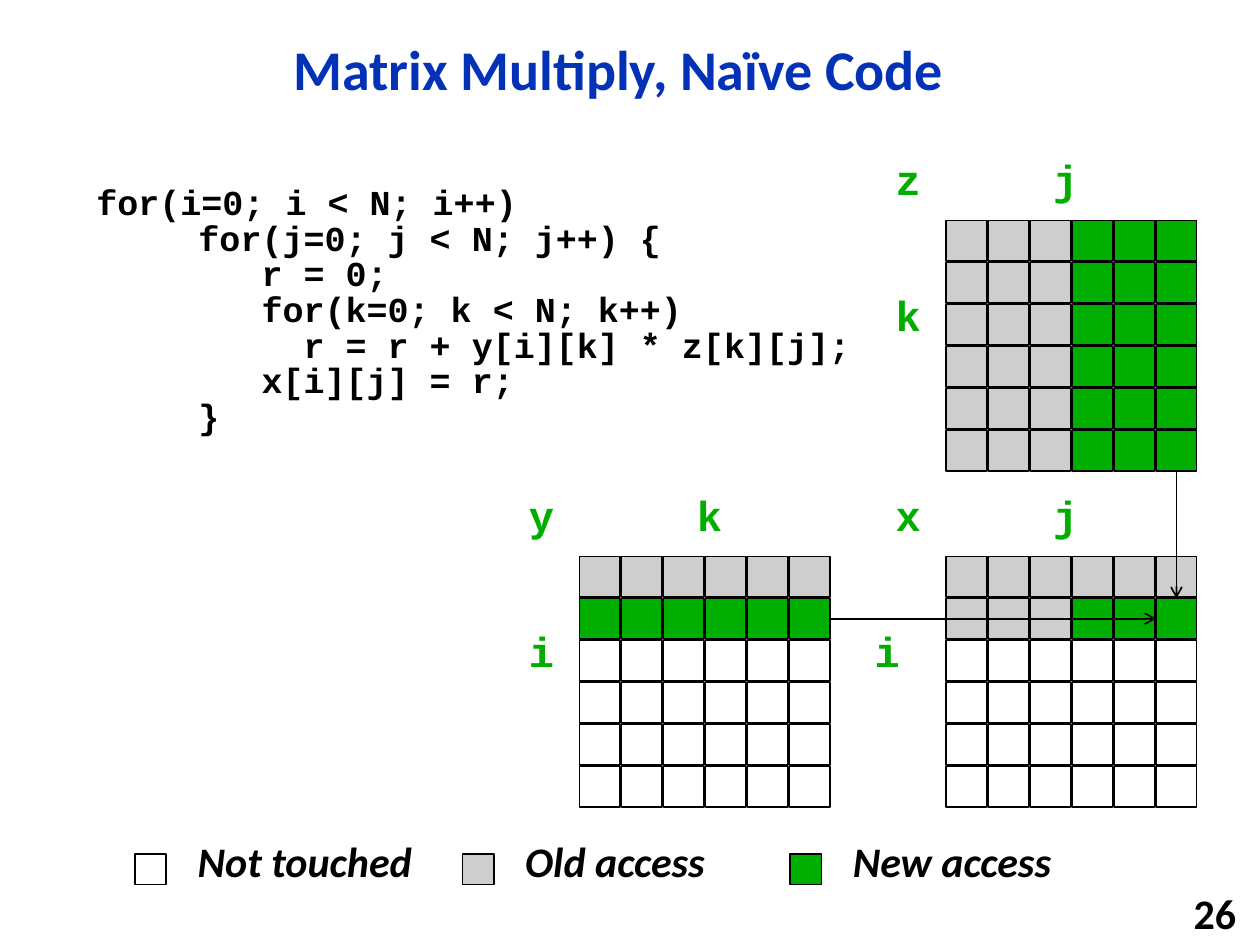
from lxml import etree
from pptx import Presentation
from pptx import util as u
from pptx.dml.color import RGBColor
from pptx.enum import shapes, text
from pptx.oxml import ns

CELL = u.Inches(1 / 3)
SQUARE = 0.96
BLACK, BLUE, GREEN = "000000", "0332B7", "00AE00"
FILLS = {".": "FFFFFF", "o": "CECECE", "n": GREEN}
CODE = """ for(i=0; i < N; i++)
    for(j=0; j < N; j++) {
       r = 0;
       for(k=0; k < N; k++)
         r = r + y[i][k] * z[k][j];
       x[i][j] = r;
    }"""


def cells(*counts):
    """Turn counts of grid cells into lengths."""
    return [u.Emu(round(count * CELL)) for count in counts]


def color(value):
    """Turn a hex string into a colour."""
    return RGBColor.from_string(value)


def add_text(parent, content, box, size=24, font="Calibri", fill=BLACK, italic=False,
             align="LEFT", anchor="TOP", spacing=1.0, wrap=True):
    """Add a bold text box and return its paragraph."""
    frame = parent.add_textbox(*cells(*box)).text_frame
    frame.word_wrap = wrap
    frame.vertical_anchor = text.MSO_ANCHOR[anchor]
    paragraph = frame.paragraphs[0]
    paragraph.text = content
    paragraph.alignment = text.PP_ALIGN[align]
    paragraph.line_spacing = spacing
    for run in paragraph.runs:
        run.font.name, run.font.size = font, u.Pt(size)
        run.font.bold, run.font.italic = True, italic
        run.font.color.rgb = color(fill)
    return paragraph


def add_square(parent, state, box):
    """Add an outlined square filled by its access state."""
    shape = parent.add_shape(shapes.MSO_SHAPE.RECTANGLE, *cells(*box))
    shape.shadow.inherit = False
    shape.fill.solid()
    shape.fill.fore_color.rgb = color(FILLS[state])
    shape.line.color.rgb = color(BLACK)
    shape.line.width = u.Pt(1)


def add_arrow(parent, start, end):
    """Add a thin line with an open arrowhead at its end."""
    arrow = parent.add_connector(shapes.MSO_CONNECTOR.STRAIGHT, *cells(*start, *end))
    arrow.line.color.rgb = color(BLACK)
    arrow.line.width = u.Pt(1)
    etree.SubElement(arrow.line._get_or_add_ln(), ns.qn("a:tailEnd"), type="arrow")
    etree.SubElement(arrow._element.spPr, ns.qn("a:effectLst"))


def add_code(parent, box):
    """Add the loop listing with a hanging indent."""
    paragraph = add_text(parent, CODE, box, size=20, font="Courier New", spacing=0.85)
    properties = paragraph._p.get_or_add_pPr()
    properties.set("marL", str(u.Inches(0.81)))
    properties.set("indent", str(u.Inches(-0.31)))


def add_matrix(parent, origin, rows, labels):
    """Add a grouped matrix at its origin with labels offset from it."""
    group = parent.add_group_shape().shapes
    left, top = origin
    for row, states in enumerate(rows):
        for column, state in enumerate(states):
            add_square(group, state, (left + column, top + row, SQUARE, SQUARE))
    for name, across, down in labels:
        add_text(group, name, (left + across, top + down, 1.2, 1.5),
                 font="Courier New", fill=GREEN, wrap=False)


def add_legend(parent, left, top, pitch):
    """Add the access states side by side."""
    entries = ((".", "Not touched"), ("o", "Old access"), ("n", "New access"))
    for index, (state, label) in enumerate(entries):
        start = left + index * pitch
        add_square(parent, state, (start, top + 0.6, 0.75, 0.72))
        add_text(parent, label, (start + 1.2, top, 6, 1.5), italic=True)


def build_slide(slide):
    """Place the title, code, matrices, arrows and legend."""
    parent = slide.shapes
    add_text(parent, "Matrix Multiply, Naïve Code", (2.76, 0.51, 23.94, 2.43), size=32,
             fill=BLUE, align="CENTER", anchor="MIDDLE", spacing=0.9)
    add_text(parent, "26", (23.49, 21.24, 6.24, 0.96), align="RIGHT", anchor="MIDDLE")
    add_code(parent, (0, 4.3, 21, 6.2))
    add_legend(parent, 3.21, 19.74, 7.8)

    x_left, y_left, z_top, x_top = 22.53, 13.8, 5.25, 13.25
    untouched = ["......"] * 4
    add_matrix(parent, (x_left, x_top), ["oooooo", "ooonnn"] + untouched,
               (("x", -1.5, -1.75), ("j", 2.25, -1.75), ("i", -2, 1.5)))
    add_matrix(parent, (y_left, x_top), ["oooooo", "nnnnnn"] + untouched,
               (("y", -1.5, -1.75), ("k", 2.5, -1.75), ("i", -1.5, 1.5)))
    add_matrix(parent, (x_left, z_top), ["ooonnn"] * 6,
               (("z", -1.5, -1.75), ("j", 2.25, -1.75), ("k", -1.5, 1.5)))

    center, far = SQUARE / 2, 5 + SQUARE
    column, row = x_left + 5 + center, x_top + 1 + center
    add_arrow(parent, (column, z_top + far), (column, x_top + 1))
    add_arrow(parent, (y_left + far, row), (x_left + 5, row))


def main():
    """Build and save the presentation."""
    presentation = Presentation()
    presentation.slide_width, presentation.slide_height = cells(30, 22.5)
    build_slide(presentation.slides.add_slide(presentation.slide_layouts[6]))
    presentation.save("out.pptx")


if __name__ == "__main__":
    main()
